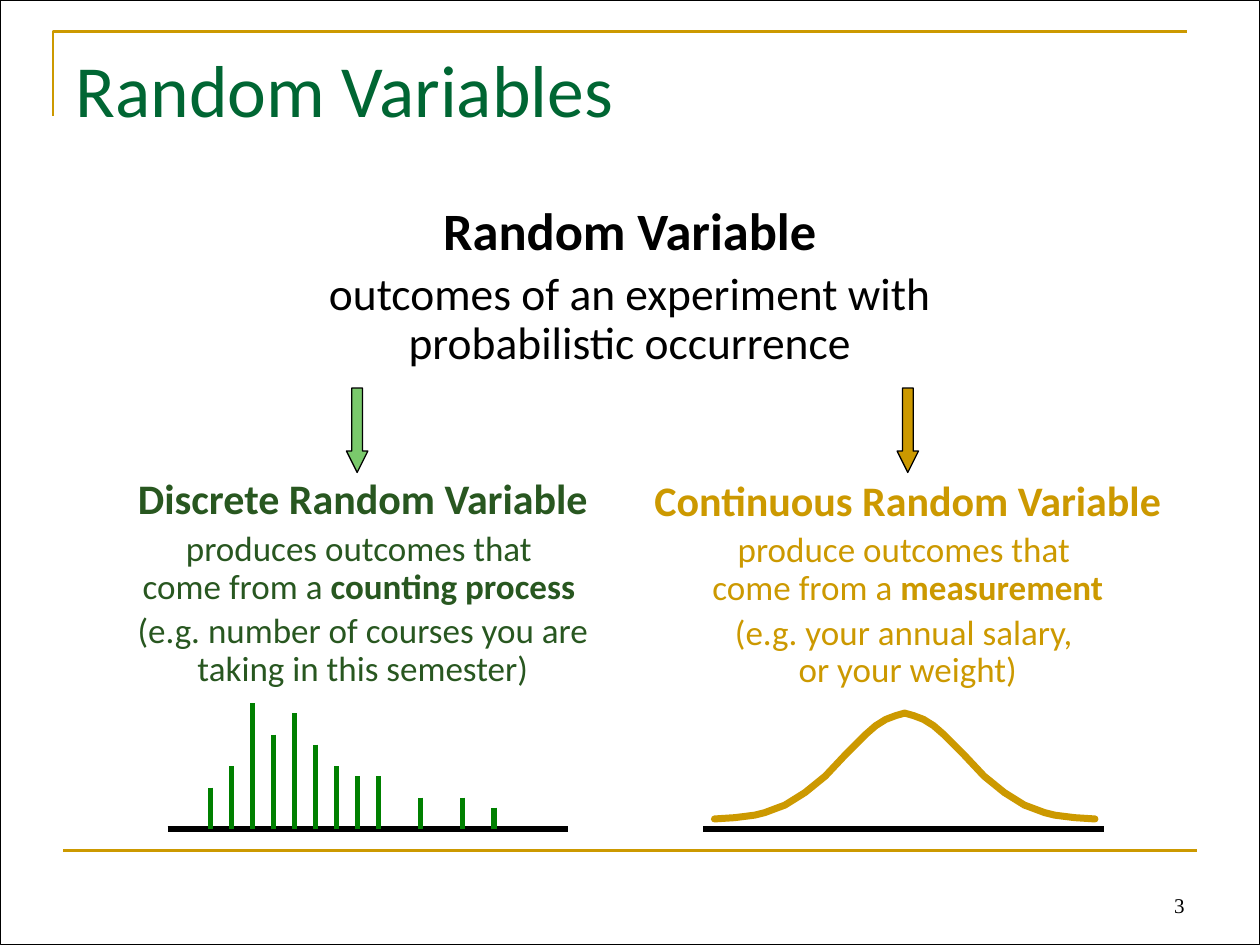
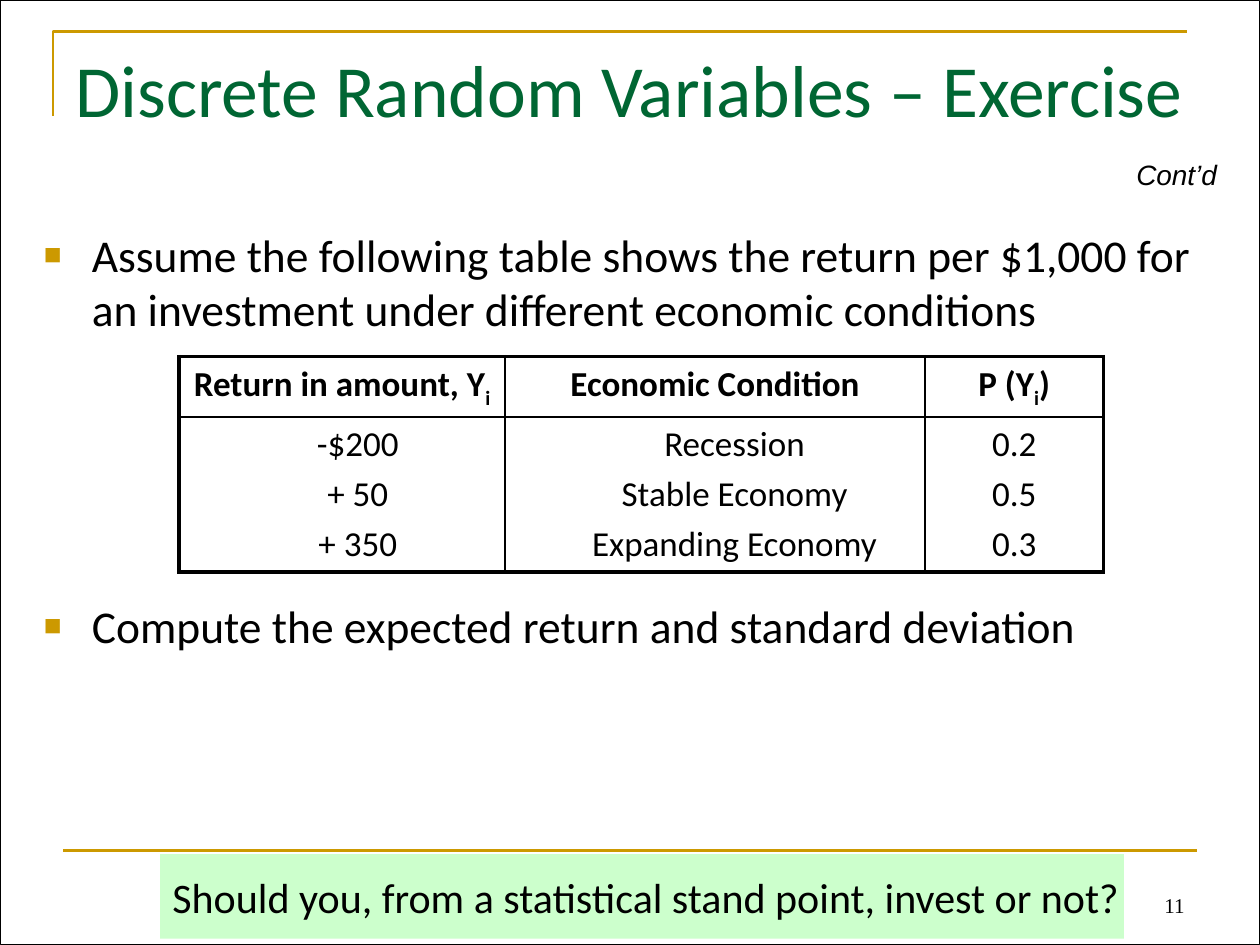
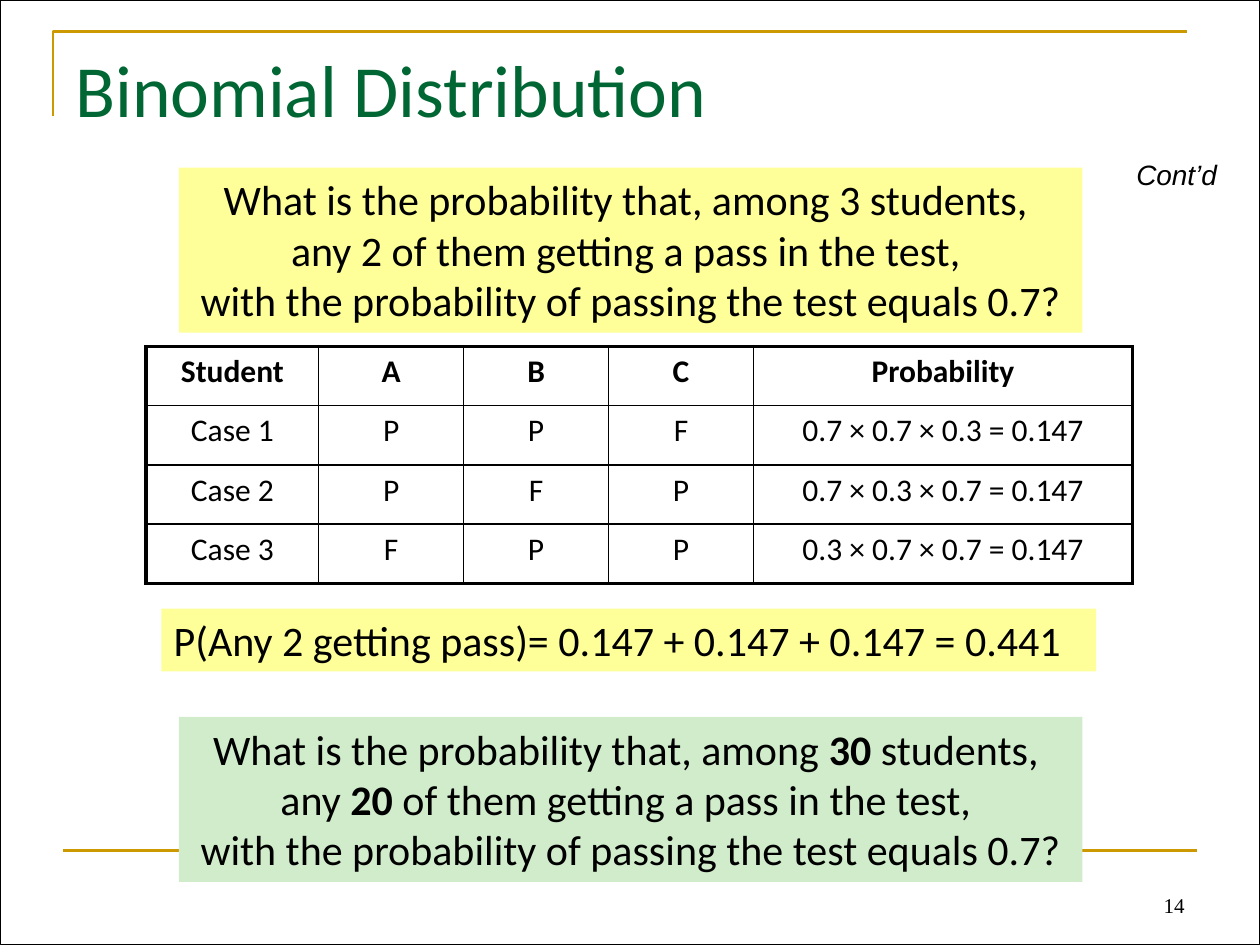
from lxml import etree
from pptx import Presentation
from pptx.dml.color import RGBColor
from pptx.enum import shapes, text
from pptx.oxml import ns
from pptx.util import Inches, Pt

BLACK = RGBColor(0x00, 0x00, 0x00)
GOLD = RGBColor(0xCC, 0x99, 0x00)
TITLE_GREEN = RGBColor(0x00, 0x66, 0x33)
DEEP_GREEN = RGBColor(0x28, 0x57, 0x20)
STEM_GREEN = RGBColor(0x00, 0x80, 0x00)
ARROW_GREEN = RGBColor(0x7A, 0xC9, 0x6C)
MINT = RGBColor(0xCC, 0xFF, 0xCC)
PALE_GREEN = RGBColor(0xD0, 0xEC, 0xCB)
YELLOW = RGBColor(0xFF, 0xFF, 0x99)

LEFT, CENTER, RIGHT = text.PP_ALIGN.LEFT, text.PP_ALIGN.CENTER, text.PP_ALIGN.RIGHT
THIN, THICK = 1, 2.25

# In all wording, *...* is bold, _..._ is subscript and \n is a line break.
DEFINITION = [
    ("*Random Variable*", 30),
    ("outcomes of an experiment with probabilistic occurrence", 26),
]
# (box, arrow left, arrow colour, text colour, paragraphs)
KINDS = [
    ((5.08, 3.76, 4.25, 1.81), 7.12, GOLD, GOLD, [
        ("*Continuous Random Variable*", 24),
        ("produce outcomes that \ncome from a *measurement*", 20),
        ("(e.g. your annual salary, \nor your weight)", 20)]),
    ((0.92, 3.75, 3.92, 1.93), 2.75, ARROW_GREEN, DEEP_GREEN, [
        ("*Discrete Random Variable*", 24),
        ("produces outcomes that \ncome from a *counting process *", 20),
        ("(e.g. number of courses you are taking in this semester)", 20)]),
]
AXIS_Y, AXIS_LENGTH, AXIS_LEFTS = 6.58, 3.18, (1.33, 5.58)
STEM_LEFT, STEM_STEP = 1.67, 1 / 6
# (position in steps, height)
STEMS = [(0, 0.33), (1, 0.5), (2, 1), (3, 0.75), (4, 0.92), (5, 0.67), (6, 0.5),
         (7, 0.42), (8, 0.42), (10, 0.25), (12, 0.25), (13.5, 0.17)]
BELL_CENTER = 7.18
BELL_HALF = [(5.67, 6.5), (5.83, 6.49), (5.91, 6.48), (5.99, 6.47), (6.07, 6.45),
             (6.15, 6.42), (6.23, 6.39), (6.39, 6.29), (6.55, 6.16), (6.71, 5.99),
             (6.79, 5.91), (6.87, 5.83), (6.95, 5.76), (7.03, 5.71), (7.11, 5.68),
             (7.18, 5.66)]

EXERCISE = [
    ("Assume the following table shows the return per $1,000 for an investment "
     "under different economic conditions", 26),
    ("Compute the expected return and standard deviation", 26),
]
TABLE_GAP = 150
RETURNS = [
    ["*Return in amount, Y_i_*", "*Economic Condition*", "*P (Y_i_)*"],
    ["-$200\n+ 50\n+ 350", "Recession\nStable Economy\nExpanding Economy",
     "0.2\n0.5\n0.3"],
]
RETURN_INDENTS = (0.25, 0.31, 0)
DECISION = "Should you, from a statistical stand point, invest or not?"

CASES = [
    ["*Student*", "*A*", "*B*", "*C*", "*Probability*"],
    ["Case 1", "P", "P", "F", "0.7 × 0.7 × 0.3 = 0.147"],
    ["Case 2", "P", "F", "P", "0.7 × 0.3 × 0.7 = 0.147"],
    ["Case 3", "F", "P", "P", "0.3 × 0.7 × 0.7 = 0.147"],
]
QUESTION = ("What is the probability that, among {} students, \n"
            "any {} of them getting a pass in the test, \n"
            "with the probability of passing the test equals 0.7?")
# (box, fill, alignment, wording)
PANELS = [
    ((1.42, 1.33, 7.17, 1.31), YELLOW, CENTER, QUESTION.format("3", "2")),
    ((1.28, 4.83, 7.42, 0.5), YELLOW, LEFT,
     "P(Any 2 getting pass)= 0.147 + 0.147 + 0.147 = 0.441"),
    ((1.42, 5.69, 7.17, 1.31), PALE_GREEN, CENTER, QUESTION.format("*30 *", "*20 *")
     .replace("*  ", "* ").replace("* s", "*s").replace("* o", "*o")),
]


def inches(values):
    return [Inches(value) for value in values]


def add_runs(paragraph, wording, style):
    """Add the wording run by run, following its bold and subscript marks."""
    for b, strong in enumerate(wording.split("*")):
        for s, level in enumerate(strong.split("_")):
            for n, line in enumerate(level.split("\n")):
                if n:
                    paragraph.add_line_break()
                if not line:
                    continue
                run = paragraph.add_run()
                run.text = line
                for key, value in style.items():
                    setattr(run.font, key, value)
                run.font.bold = b % 2 == 1
                if s % 2:
                    run.font._element.set("baseline", "-25000")


def add_bullet(paragraph):
    props = paragraph._p.get_or_add_pPr()
    color = etree.SubElement(props, ns.qn("a:buClr"))
    etree.SubElement(color, ns.qn("a:srgbClr")).set("val", str(GOLD))
    for tag, key, value in (("buSzPct", "val", "65000"), ("buFont", "typeface", "Arial"),
                            ("buChar", "char", "■")):
        etree.SubElement(props, ns.qn("a:" + tag)).set(key, value)


def write(frame, paragraphs, color=BLACK, align=LEFT, face="Calibri", italic=False,
          spacing=None, gap=None, indent=0, bullets=False, wrap=True,
          anchor=text.MSO_ANCHOR.TOP):
    """Fill a text frame with (wording, size) paragraphs."""
    frame.word_wrap = wrap
    frame.vertical_anchor = anchor
    for n, (wording, size) in enumerate(paragraphs):
        paragraph = frame.add_paragraph() if n else frame.paragraphs[0]
        if indent:
            props = paragraph._p.get_or_add_pPr()
            props.set("marL", str(Inches(indent)))
            props.set("indent", str(-Inches(indent) if bullets else 0))
        if bullets:
            add_bullet(paragraph)
        paragraph.alignment = align
        paragraph.line_spacing = spacing
        if n:
            paragraph.space_before = Pt(gap or 0.2 * size)
        add_runs(paragraph, wording, {"name": face, "size": Pt(size), "italic": italic})
        for run in paragraph.runs:
            run.font.color.rgb = color


def add_text(slide, box, paragraphs, **style):
    write(slide.shapes.add_textbox(*inches(box)).text_frame, paragraphs, **style)


def paint(shape, fill=None, line=None, width=1.0):
    shape.shadow.inherit = False
    for part, color in ((shape.fill, fill), (shape.line.fill, line)):
        if color is None:
            part.background()
        else:
            part.solid()
            part.fore_color.rgb = color
    if line is not None:
        shape.line.width = Pt(width)
    return shape


def add_shape(slide, kind, box, **look):
    return paint(slide.shapes.add_shape(kind, *inches(box)), **look)


def add_line(slide, start, end, color, width):
    line = slide.shapes.add_connector(shapes.MSO_CONNECTOR.STRAIGHT, *inches(start + end))
    line.line.color.rgb = color
    line.line.width = Pt(width)
    etree.SubElement(line._element.spPr, ns.qn("a:effectLst"))


def add_outline(slide, points, color, width):
    """Draw an open path through the points."""
    start, *rest = [inches(point) for point in points]
    builder = slide.shapes.build_freeform(*start)
    builder.add_line_segments(rest, close=False)
    return paint(builder.convert_to_shape(), line=color, width=width)


def add_panel(slide, box, fill, wording, **style):
    panel = add_shape(slide, shapes.MSO_SHAPE.RECTANGLE, box, fill=fill)
    write(panel.text_frame, [(wording, 24)], **style)


def set_borders(cell, widths):
    props = cell._tc.get_or_add_tcPr()
    for side, width in widths.items():
        line = etree.SubElement(props, ns.qn("a:ln" + side), w=str(Pt(width)))
        fill = etree.SubElement(line, ns.qn("a:solidFill"))
        etree.SubElement(fill, ns.qn("a:srgbClr")).set("val", str(BLACK))


def add_grid(slide, corner, columns, heights, rows, size, indents=None):
    """Add a table with a thick frame and thin inner lines."""
    box = (*corner, sum(columns), sum(heights))
    table = slide.shapes.add_table(len(rows), len(columns), *inches(box)).table
    table.first_row = table.horz_banding = False
    for column, width in zip(table.columns, columns):
        column.width = Inches(width)
    for r, (row, height) in enumerate(zip(rows, heights)):
        table.rows[r].height = Inches(height)
        for c, wording in enumerate(row):
            cell = table.cell(r, c)
            edges = {"L": c == 0, "R": c == len(columns) - 1,
                     "T": r == 0, "B": r == len(rows) - 1}
            set_borders(cell, {side: THICK if outer else THIN
                               for side, outer in edges.items()})
            cell.fill.background()
            write(cell.text_frame, [(line, size) for line in wording.split("\n")],
                  align=CENTER, indent=indents[c] if indents and r else 0)


def start_slide(deck, title, number, continued=False):
    """Add a slide with the shared frame, title and slide number."""
    slide = deck.slides.add_slide(deck.slide_layouts[6])
    add_outline(slide, [(0.42, 0.92), (0.42, 0.25), (9.42, 0.25)], GOLD, 1.5)
    add_line(slide, (0.5, 6.75), (9.5, 6.75), GOLD, 1.5)
    add_shape(slide, shapes.MSO_SHAPE.RECTANGLE, (0, 0, 10, 7.5), line=BLACK, width=0.5)
    add_text(slide, (0.5, 0.3, 9, 1.25), [(title, 42)], color=TITLE_GREEN)
    add_text(slide, (7.17, 6.83, 2.33, 0.5), [(str(number), 12)], align=RIGHT,
             face="Times New Roman", anchor=text.MSO_ANCHOR.BOTTOM)
    if continued:
        add_text(slide, (8.92, 1.2, 1, 0.37), [("Cont’d", 16)], face="Arial", italic=True)
    return slide


def add_variables(deck):
    slide = start_slide(deck, "Random Variables", 3)
    add_text(slide, (2.5, 1.58, 5, 1.47), DEFINITION, align=CENTER, spacing=0.9)
    for box, arrow_left, arrow_color, color, paragraphs in KINDS:
        add_text(slide, box, paragraphs, color=color, align=CENTER, spacing=0.9)
        arrow = add_shape(slide, shapes.MSO_SHAPE.DOWN_ARROW,
                          (arrow_left, 3.08, 0.17, 0.67),
                          fill=arrow_color, line=BLACK, width=0.75)
        arrow.adjustments[0], arrow.adjustments[1] = 0.5, 1
    for left in AXIS_LEFTS:
        add_line(slide, (left, AXIS_Y), (left + AXIS_LENGTH, AXIS_Y), BLACK, 3)
    for position, height in STEMS:
        x = STEM_LEFT + position * STEM_STEP
        add_line(slide, (x, AXIS_Y - height), (x, AXIS_Y), STEM_GREEN, 3)
    mirrored = [(2 * BELL_CENTER - x, y) for x, y in reversed(BELL_HALF[:-1])]
    bell = add_outline(slide, BELL_HALF + mirrored, GOLD, 4)
    bell.line._get_or_add_ln().set("cap", "rnd")


def add_exercise(deck):
    slide = start_slide(deck, "Discrete Random Variables – Exercise", 11, continued=True)
    add_text(slide, (0.25, 1.75, 9.75, 4.95), EXERCISE, gap=TABLE_GAP, indent=0.38,
             bullets=True)
    add_grid(slide, (1.42, 2.83), (2.59, 3.33, 1.42), (0.48, 1.23), RETURNS, 20,
             RETURN_INDENTS)
    add_panel(slide, (1.27, 6.78, 7.65, 0.67), MINT, DECISION, wrap=False,
              anchor=text.MSO_ANCHOR.MIDDLE)


def add_binomial(deck):
    slide = start_slide(deck, "Binomial Distribution", 14, continued=True)
    add_grid(slide, (1.16, 2.75), (1.37, 1.15, 1.15, 1.15, 3.01), [0.47] * len(CASES),
             CASES, 18)
    for box, fill, align, wording in PANELS:
        add_panel(slide, box, fill, wording, align=align)


def main():
    deck = Presentation()
    deck.slide_width, deck.slide_height = Inches(10), Inches(7.5)
    for add in (add_variables, add_exercise, add_binomial):
        add(deck)
    deck.save("out.pptx")


if __name__ == "__main__":
    main()
